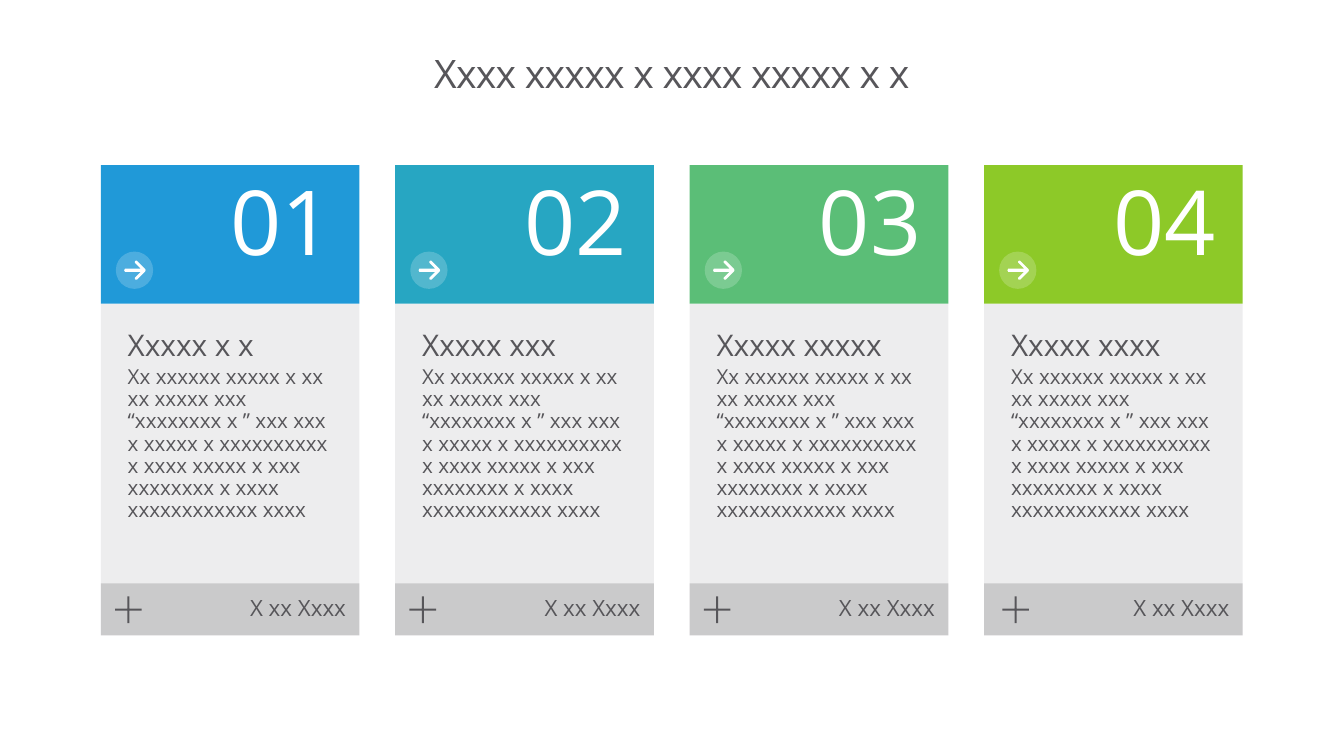
from lxml import etree
from pptx import Presentation
from pptx.dml.color import RGBColor
from pptx.enum.shapes import MSO_SHAPE
from pptx.enum.text import MSO_ANCHOR, PP_ALIGN
from pptx.oxml.ns import qn
from pptx.util import Cm, Pt

RECT, OVAL = MSO_SHAPE.RECTANGLE, MSO_SHAPE.OVAL
TOP, MIDDLE = MSO_ANCHOR.TOP, MSO_ANCHOR.MIDDLE
LEFT, CENTER, RIGHT = PP_ALIGN.LEFT, PP_ALIGN.CENTER, PP_ALIGN.RIGHT

WHITE = RGBColor(0xFF, 0xFF, 0xFF)
GREY = RGBColor(0x57, 0x56, 0x5A)
DARK = RGBColor(0x41, 0x40, 0x43)
BLUE = RGBColor(0x20, 0x99, 0xD8)
TEAL = RGBColor(0x27, 0xA6, 0xC2)
GREEN = RGBColor(0x5B, 0xBE, 0x77)
LIME = RGBColor(0x8D, 0xC9, 0x28)

FONT = "Open Sans"
CARD_LEFT, CARD_TOP, CARD_W, CARD_H = 2.54, 4.16, 6.52, 11.85
PITCH = 7.42
HEADER_H, FOOTER_H = 3.49, 1.31
PAD, HALF_PAD = 0.68, 0.34
PLUS_LEFT = 0.36

BODY = (
    "Xx xxxxxx xxxxx x xx xx xxxxx xxx “xxxxxxxx x ” xxx xxx x xxxxx x "
    "xxxxxxxxxx x xxxx xxxxx x xxx xxxxxxxx x xxxx xxxxxxxxxxxx xxxx"
)
CARDS = [
    ("01", "Xxxxx x x", BLUE, PLUS_LEFT),
    ("02", "Xxxxx xxx", TEAL, PLUS_LEFT),
    ("03", "Xxxxx xxxxx", GREEN, PLUS_LEFT),
    ("04", "Xxxxx xxxx", LIME, PLUS_LEFT + 0.1),
]

ICON_UNIT = Cm(0.01)
ARROW_MID = 24
ARROW_HALF = [(2, 20), (42, 20), (27, 5), (27, 2), (29, 0), (32, 0), (53, 21)]
ARROW = ARROW_HALF + [(54, ARROW_MID)] + [
    (x, 2 * ARROW_MID - y) for x, y in reversed(ARROW_HALF)
] + [(0, ARROW_MID)]
PLUS = [
    (0, 31), (31, 31), (31, 0), (36, 0), (36, 31), (67, 31),
    (67, 36), (36, 36), (36, 67), (31, 67), (31, 36), (0, 36),
]


def paint(sp, color, alpha=None):
    sp.shadow.inherit = False
    sp.fill.solid()
    sp.fill.fore_color.rgb = color
    sp.line.fill.background()
    if alpha:
        clr = sp.fill._xPr.find(qn("a:solidFill"))[0]
        etree.SubElement(clr, qn("a:alpha")).set("val", str(alpha * 1000))


def add_block(shapes, kind, box, color, alpha=None):
    sp = shapes.add_shape(kind, *map(Cm, box))
    paint(sp, color, alpha)
    return sp


def add_icon(shapes, points, left, top, color):
    builder = shapes.build_freeform(*points[0], scale=ICON_UNIT)
    builder.add_line_segments(points[1:], close=True)
    paint(builder.convert_to_shape(Cm(left), Cm(top)), color)


def write(sp, lines, margins, color, align, anchor=TOP, spacing=0.9, after=2.7):
    tf = sp.text_frame
    sides = ("margin_left", "margin_top", "margin_right", "margin_bottom")
    frame = dict(zip(sides, map(Cm, margins)), word_wrap=True, vertical_anchor=anchor)
    for name, value in frame.items():
        setattr(tf, name, value)
    for i, (text, size) in enumerate(lines):
        p = tf.add_paragraph() if i else tf.paragraphs[0]
        layout = {"alignment": align, "line_spacing": spacing, "space_after": Pt(after)}
        for name, value in layout.items():
            setattr(p, name, value)
        r = p.add_run()
        r.text = text
        for name, value in {"name": FONT, "size": Pt(size)}.items():
            setattr(r.font, name, value)
        r.font.color.rgb = color


def add_title(s, left, top, width, height):
    sp = s.shapes.add_textbox(*map(Cm, (left, top, width, height)))
    write(sp, [("Xxxx xxxxx x xxxx xxxxx x x", 28)], (0, 0, 0, 0), GREY,
          CENTER, MIDDLE, 0.86, 0)
    sp.text_frame.paragraphs[0].runs[0].font._element.set("spc", "-50")


def add_header(s, left, top, width, height, number, color):
    sp = add_block(s.shapes, RECT, (left, top, width, height), color)
    write(sp, [(number, 64)], (PAD, HALF_PAD, PAD, PAD), WHITE, RIGHT)
    badge = s.shapes.add_group_shape().shapes
    add_block(badge, OVAL, (left + 0.38, top + 2.18, 0.94, 0.94), WHITE, 20)
    add_icon(badge, ARROW, left + 0.59, top + 2.41, WHITE)


def add_body(s, left, top, width, height, heading):
    sp = add_block(s.shapes, RECT, (left, top, width, height), GREY, 10)
    write(sp, [(heading, 21.3), (BODY, 14.7)], (PAD,) * 4, GREY, LEFT)


def add_footer(s, left, top, width, height, plus_left):
    sp = add_block(s.shapes, RECT, (left, top, width, height), DARK, 20)
    write(sp, [("X xx Xxxx", 16)], (HALF_PAD,) * 4, GREY, RIGHT)
    add_icon(s.shapes, PLUS, left + plus_left, top + 0.33, GREY)


def add_card(s, left, top, width, height, number, heading, color, plus_left):
    add_body(s, left, top + HEADER_H, width, height - HEADER_H, heading)
    add_header(s, left, top, width, HEADER_H, number, color)
    add_footer(s, left, top + height - FOOTER_H, width, FOOTER_H, plus_left)


def main():
    prs = Presentation()
    prs.slide_width, prs.slide_height = Cm(33.87), Cm(19.05)
    s = prs.slides.add_slide(prs.slide_layouts[6])
    add_title(s, CARD_LEFT, 0.79, 28.78, 2.26)
    for i, card in enumerate(CARDS):
        add_card(s, CARD_LEFT + i * PITCH, CARD_TOP, CARD_W, CARD_H, *card)
    prs.save("out.pptx")


if __name__ == "__main__":
    main()
